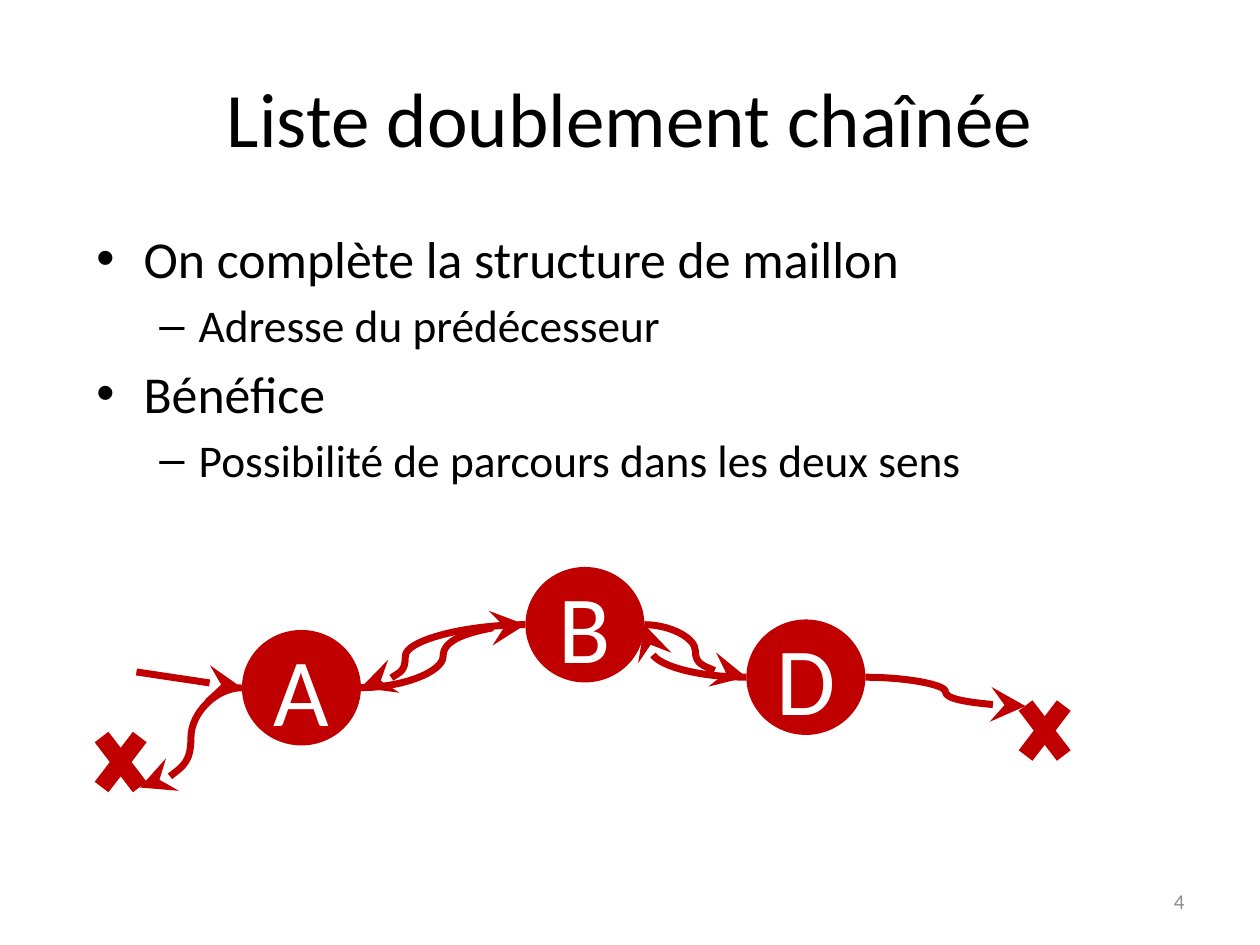
from lxml.etree import SubElement
from pptx import Presentation
from pptx.dml.color import RGBColor
from pptx.enum.shapes import MSO_CONNECTOR as Connector, MSO_SHAPE as Preset
from pptx.enum.text import MSO_ANCHOR as Anchor, PP_ALIGN as Align
from pptx.oxml.ns import qn
from pptx.util import Pt

RED = RGBColor(0xC0, 0x00, 0x00)
BLACK = RGBColor(0x00, 0x00, 0x00)
WHITE = RGBColor(0xFF, 0xFF, 0xFF)
GRAY = RGBColor(0x8C, 0x8C, 0x8C)

NODE_WIDTH, NODE_HEIGHT = 68, 66
CROSS_WIDTH, CROSS_HEIGHT = 42, 55

# Bullet, font size, left margin, hanging indent, space before
LEVELS = [("•", 29.6, 27, -27, 5.5), ("–", 25.9, 58.5, -22.5, 4.8)]
BODY = [
    (0, "On complète la structure de maillon"),
    (1, "Adresse du prédécesseur"),
    (0, "Bénéfice"),
    (1, "Possibilité de parcours dans les deux sens"),
]
NODES = {"A": (138.25, 360), "B": (300.25, 324), "D": (426.5, 354)}


def write(paragraph, text, size, color, align):
    paragraph.alignment = align
    run = paragraph.add_run()
    run.text = text
    for name, value in {"name": "Calibri", "size": Pt(size)}.items():
        setattr(run.font, name, value)
    run.font.color.rgb = color


def add_text_frame(slide, left, top, width, height, anchor):
    box = slide.shapes.add_textbox(Pt(left), Pt(top), Pt(width), Pt(height))
    frame = box.text_frame
    frame.word_wrap = True
    frame.vertical_anchor = anchor
    return frame


def add_body(slide):
    frame = add_text_frame(slide, 48, 126, 642, 150, Anchor.TOP)
    for index, (level, text) in enumerate(BODY):
        paragraph = frame.add_paragraph() if index else frame.paragraphs[0]
        bullet, size, margin, indent, space = LEVELS[level]
        write(paragraph, text, size, BLACK, Align.LEFT)
        paragraph.level = level
        paragraph.space_before = Pt(space)
        properties = paragraph._p.get_or_add_pPr()
        properties.set("marL", str(Pt(margin)))
        properties.set("indent", str(Pt(indent)))
        SubElement(properties, qn("a:buFont"), typeface="Arial")
        SubElement(properties, qn("a:buChar"), char=bullet)


def add_red_shape(slide, preset, left, top, width, height):
    shape = slide.shapes.add_shape(preset, Pt(left), Pt(top), Pt(width), Pt(height))
    shape.shadow.inherit = False
    shape.fill.solid()
    shape.fill.fore_color.rgb = RED
    shape.line.fill.background()
    return shape


def add_node(slide, letter, left, top):
    node = add_red_shape(slide, Preset.OVAL, left, top, NODE_WIDTH, NODE_HEIGHT)
    node.text_frame.vertical_anchor = Anchor.MIDDLE
    write(node.text_frame.paragraphs[0], letter, 55, WHITE, Align.CENTER)


def add_arrow(slide, start, end, kind=Connector.CURVE, bend=0.5):
    arrow = slide.shapes.add_connector(kind, *map(Pt, start + end))
    arrow.line.color.rgb = RED
    arrow.line.width = Pt(4)
    SubElement(arrow.line._get_or_add_ln(), qn("a:tailEnd"),
               type="stealth", w="lg", len="lg")
    properties = arrow._element.spPr
    SubElement(properties, qn("a:effectLst"))
    if bend != 0.5:
        guides = properties.find(qn("a:prstGeom")).get_or_add_avLst()
        SubElement(guides, qn("a:gd"), name="adj1", fmla=f"val {round(bend * 100000)}")


def left_of(letter):
    left, top = NODES[letter]
    return left, top + NODE_HEIGHT / 2


def right_of(letter):
    left, middle = left_of(letter)
    return left + NODE_WIDTH, middle


def main():
    presentation = Presentation()
    presentation.slide_width, presentation.slide_height = Pt(720), Pt(540)
    slide = presentation.slides.add_slide(presentation.slide_layouts[6])

    # Title, page number and bullets
    title = add_text_frame(slide, 36, 21.6, 648, 90, Anchor.MIDDLE)
    write(title.paragraphs[0], "Liste doublement chaînée", 44, BLACK, Align.CENTER)
    number = add_text_frame(slide, 516, 500.5, 168, 28.75, Anchor.MIDDLE)
    write(number.paragraphs[0], "4", 12, GRAY, Align.RIGHT)
    add_body(slide)

    # Nodes and end marks
    for letter, position in NODES.items():
        add_node(slide, letter, *position)
    for left, top in [(576, 390), (48, 408)]:
        add_red_shape(slide, Preset.MATH_MULTIPLY, left, top, CROSS_WIDTH, CROSS_HEIGHT)

    # Forward links
    add_arrow(slide, (78, 384), left_of("A"), Connector.STRAIGHT)
    add_arrow(slide, right_of("A"), left_of("B"))
    add_arrow(slide, right_of("B"), left_of("D"))
    add_arrow(slide, right_of("D"), (586, 403.5))

    # Backward links
    add_arrow(slide, left_of("D"), right_of("B"), bend=0.93)
    add_arrow(slide, left_of("B"), right_of("A"), bend=0.73)
    add_arrow(slide, left_of("A"), (80, 450))

    presentation.save("out.pptx")


main()
